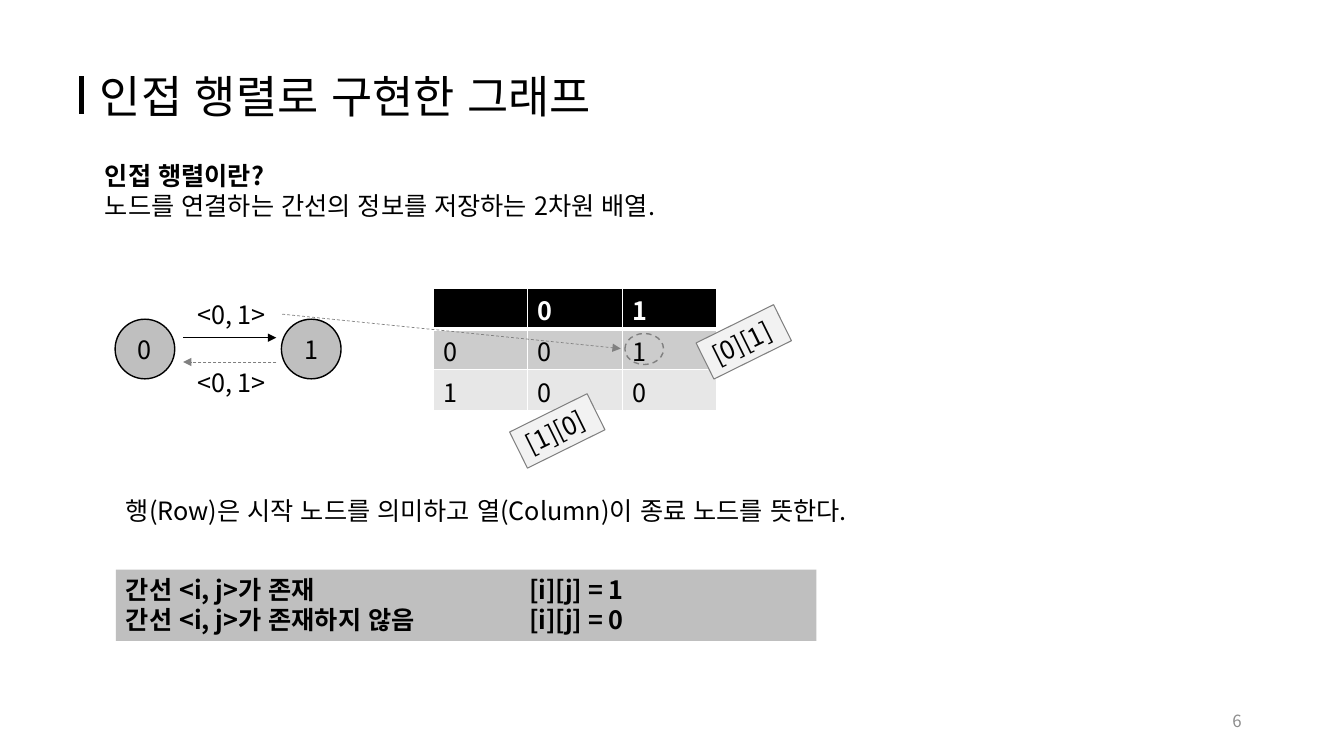
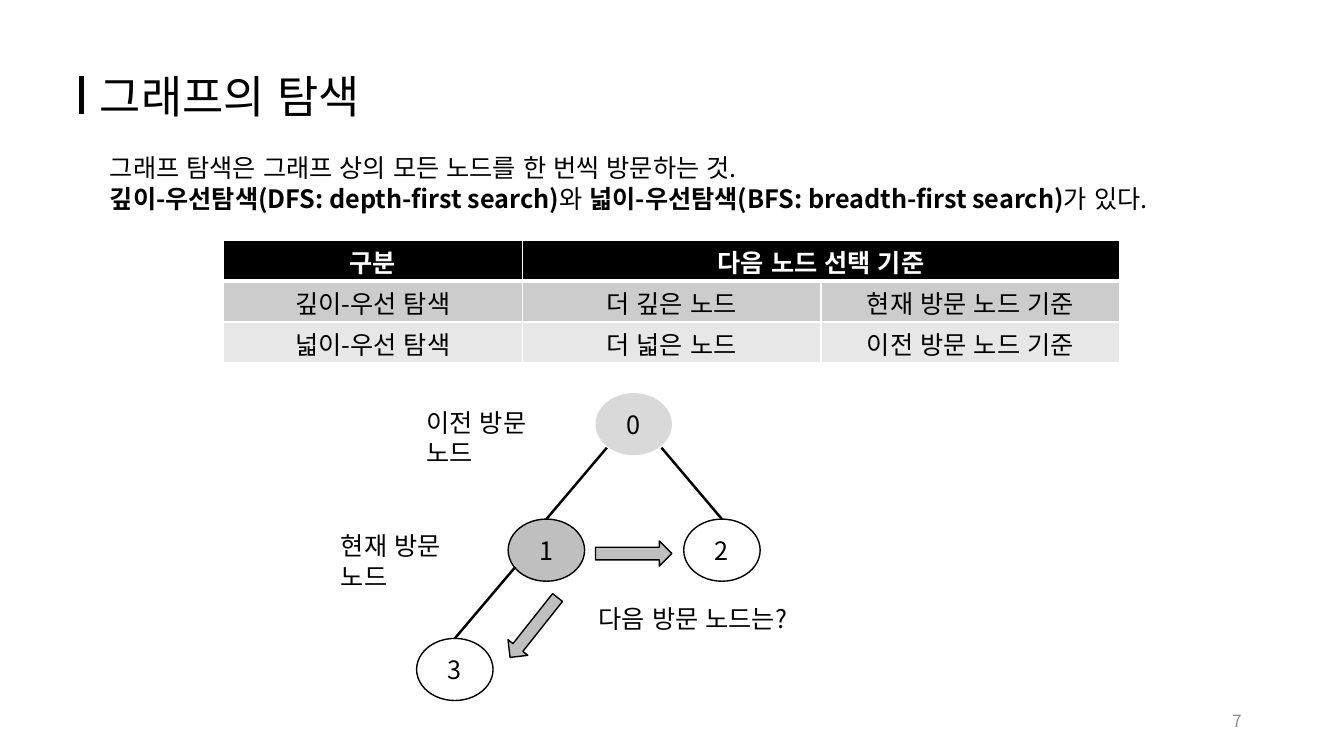
from dataclasses import dataclass
from itertools import product

from lxml.etree import SubElement
from pptx import Presentation
from pptx.dml.color import RGBColor
from pptx.enum.dml import MSO_LINE
from pptx.enum.lang import MSO_LANGUAGE_ID as LANG
from pptx.enum.shapes import MSO_CONNECTOR, MSO_SHAPE
from pptx.enum.text import MSO_ANCHOR, MSO_AUTO_SIZE, PP_ALIGN
from pptx.oxml.ns import qn
from pptx.util import Emu, Pt

COLS, ROWS, CELL = 160, 90, 76200


@dataclass(frozen=True)
class Theme:
    """Colours, font and type sizes shared by the slides."""
    font: str = "Noto Sans CJK KR"
    title: int = 32
    body: int = 18
    small: int = 12
    ink: str = "000000"
    paper: str = "FFFFFF"
    grey: str = "BFBFBF"
    pale: str = "D9D9D9"
    tag: str = "F2F2F2"
    dim: str = "808080"
    number: str = "8C8C8C"
    bands: tuple = ("CCCCCC", "E7E7E7")


T = Theme()


@dataclass(frozen=True)
class Box:
    """A rectangle in grid cells of the slide."""
    x: float
    y: float
    w: float
    h: float

    def at(self, dx, dy, w=0, h=0):
        """Return a box offset from this one's corner."""
        return Box(self.x + dx, self.y + dy, w, h)

    def emu(self):
        """Return left, top, width and height as lengths."""
        return [Emu(round(v * CELL)) for v in (self.x, self.y, self.w, self.h)]


def rgb(code):
    """Return the colour of a hex code."""
    return RGBColor.from_string(code)


def apply(obj, **formats):
    """Set each format value as an attribute."""
    for name, value in formats.items():
        setattr(obj, name, value)


def write(tf, paras, size=T.body, color=T.ink, bold=False, align=PP_ALIGN.LEFT,
          anchor=MSO_ANCHOR.TOP, wrap=True):
    """Fill a text frame; each paragraph is a list of (text, bold) or a string."""
    apply(tf, word_wrap=wrap, auto_size=MSO_AUTO_SIZE.NONE, vertical_anchor=anchor)
    for i, runs in enumerate(paras):
        p = tf.add_paragraph() if i else tf.paragraphs[0]
        p.alignment = align
        for text, strong in [(runs, bold)] if isinstance(runs, str) else runs:
            r = p.add_run()
            r.text = text
            apply(r.font, size=Pt(size), bold=strong, name=T.font, language_id=LANG.KOREAN)
            r.font.color.rgb = rgb(color)
            SubElement(r._r.get_or_add_rPr(), qn("a:ea"), typeface=T.font)


def add_text(s, box, *paras, **formats):
    """Add a text box."""
    tf = s.shapes.add_textbox(*box.emu()).text_frame
    write(tf, paras, **formats)


def add_shape(s, kind, box, fill=None, line=None, width=1, dash=None, rot=0):
    """Add a preset shape with plain fill and outline."""
    sp = s.shapes.add_shape(kind, *box.emu())
    sp.shadow.inherit = False
    sp.rotation = rot
    if fill:
        sp.fill.solid()
        sp.fill.fore_color.rgb = rgb(fill)
    else:
        sp.fill.background()
    if line:
        sp.line.color.rgb = rgb(line)
        apply(sp.line, width=Pt(width), dash_style=dash)
    else:
        sp.line.fill.background()
    return sp


def add_line(s, start, end, color=T.ink, width=0.5, dash=None, arrow=False):
    """Add a straight line between two corners, with an optional arrowhead."""
    ends = start.emu()[:2] + end.emu()[:2]
    c = s.shapes.add_connector(MSO_CONNECTOR.STRAIGHT, *ends)
    c.line.color.rgb = rgb(color)
    apply(c.line, width=Pt(width), dash_style=dash)
    if arrow:
        SubElement(c.line._get_or_add_ln(), qn("a:tailEnd"), type="triangle")
    SubElement(c._element.spPr, qn("a:effectLst"))
    return c


def add_node(s, box, name, fill=None, line=T.ink):
    """Add a graph node with its number."""
    sp = add_shape(s, MSO_SHAPE.OVAL, box, fill, line)
    write(sp.text_frame, [name], align=PP_ALIGN.CENTER, anchor=MSO_ANCHOR.MIDDLE)
    return sp


def add_borders(cell, header):
    """Draw white cell borders, thicker around the header's lower edge."""
    tc_pr = cell._tc.get_or_add_tcPr()
    widths = {"L": 1, "R": 1, "T": 1, "B": 3 if header else 1}
    for i, (side, width) in enumerate(widths.items()):
        ln = SubElement(tc_pr, qn(f"a:ln{side}"), w=str(Pt(width)))
        SubElement(SubElement(ln, qn("a:solidFill")), qn("a:srgbClr"), val=T.paper)
        tc_pr.insert(i, ln)


def add_grid(s, box, rows, align=PP_ALIGN.LEFT):
    """Add a table with a black header and grey rows; None joins a cell to its left."""
    n_rows, n_cols = len(rows), len(rows[0])
    table = s.shapes.add_table(n_rows, n_cols, *box.emu()).table
    for i, j in product(range(n_rows), range(n_cols)):
        cell, text, header = table.cell(i, j), rows[i][j], i == 0
        apply(cell, margin_top=Pt(2.5), margin_bottom=0)
        cell.fill.solid()
        cell.fill.fore_color.rgb = rgb(T.ink if header else T.bands[(i - 1) % 2])
        add_borders(cell, header)
        if text is None:
            table.cell(i, j - 1).merge(cell)
        elif text:
            write(cell.text_frame, [text], bold=header, align=align,
                  color=T.paper if header else T.ink)


def add_page(prs, title, number):
    """Add a slide with the shared title, title bar and number."""
    s = prs.slides.add_slide(prs.slide_layouts[5])
    box = Box(10.7, 7.6, 95.8, 7.7)
    sp = s.shapes.title
    apply(sp, **dict(zip(("left", "top", "width", "height"), box.emu())))
    write(sp.text_frame, [title], size=T.title)
    add_line(s, box.at(-1, 1.5), box.at(-1, 6), width=3)
    add_text(s, Box(113, 83.4, 36, 4.8), str(number), size=T.small, color=T.number,
             align=PP_ALIGN.RIGHT, anchor=MSO_ANCHOR.MIDDLE)
    return s


def node_pair(s, box):
    """Draw two nodes with an edge each way."""
    d = 7.1
    for name, dx in (("0", 0), ("1", box.w - d)):
        add_node(s, box.at(dx, 3, d, d), name, T.grey)
    left, right = 8.1, 19.2
    add_line(s, box.at(left, 5.2), box.at(right, 5.2), arrow=True)
    add_line(s, box.at(right, 8.1), box.at(left, 8.1), T.dim,
             dash=MSO_LINE.DASH, arrow=True)
    for dy in (0, 8.1):
        add_text(s, box.at(8.6, dy, 11.3, 4.8), "<0, 1>")


def matrix(s, box):
    """Draw the adjacency matrix, its marked cell and the index tags."""
    add_grid(s, box, [("", "0", "1"), ("0", "0", "1"), ("1", "0", "0")])
    add_line(s, box.at(-18, 3.1), box.at(22.3, 7.2), T.dim,
             dash=MSO_LINE.DASH, arrow=True)
    add_shape(s, MSO_SHAPE.OVAL, box.at(22.8, 5.4, 4.6, 3.7), line=T.dim,
              dash=MSO_LINE.DASH)
    for text, dx, dy in (("[0][1]", 31.8, 4), ("[1][0]", 9.6, 14.6)):
        sp = add_shape(s, MSO_SHAPE.RECTANGLE, box.at(dx, dy, 10.3, 4.8), T.tag,
                       T.dim, 0.75, rot=333.7)
        write(sp.text_frame, [text], wrap=False)


def rule_band(s, box):
    """Draw the grey band with the two matrix rules in columns."""
    sp = add_shape(s, MSO_SHAPE.RECTANGLE, box, T.grey)
    write(sp.text_frame, ["간선 <i, j>가 존재\t[i][j] = 1",
                          "간선 <i, j>가 존재하지 않음\t[i][j] = 0"], bold=True)
    for p in sp.text_frame.paragraphs:
        tabs = SubElement(p._p.get_or_add_pPr(), qn("a:tabLst"))
        SubElement(tabs, qn("a:tab"), pos=str(48 * CELL), algn="l")


def search_tree(s, box):
    """Draw the search tree with its labels and candidate moves."""
    w, h, run, rise = 9.1, 7.4, 7.2, 8.5
    layout = {"0": (31.5, 0, T.pale, None), "1": (21.1, 15, T.grey, T.ink),
              "2": (42, 15, None, T.ink), "3": (10.2, 29.2, None, T.ink)}
    places = {k: box.at(x, y, w, h) for k, (x, y, *_) in layout.items()}
    nodes = {k: add_node(s, places[k], k, *v[2:]) for k, v in layout.items()}
    for child, side in (("1", 1), ("2", -1), ("3", 1)):
        top = places[child].at(w / 2, 0)
        edge = add_line(s, top.at(side * run, -rise), top, width=1.75)
        edge.end_connect(nodes[child], 0)
    for text, dx, dy, width in (("이전 방문 노드", 10.2, 1.1, 19),
                                ("현재 방문 노드", 0, 15.8, 19),
                                ("다음 방문 노드는?", 30.7, 24.4, 27)):
        add_text(s, box.at(dx, dy, width, 4.8), text)
    for dx, dy, rot in ((31.5, 17.6, 0), (19.6, 26.4, 128.4)):
        add_shape(s, MSO_SHAPE.RIGHT_ARROW, box.at(dx, dy, w, 3), T.grey, T.ink, rot=rot)


def matrix_slide(prs):
    """Build the slide on the adjacency matrix."""
    s = add_page(prs, "인접 행렬로 구현한 그래프", 6)
    add_text(s, Box(11.3, 18.5, 125.6, 8.5), [("인접 행렬이란?", True)],
             "노드를 연결하는 간선의 정보를 저장하는 2차원 배열.")
    node_pair(s, Box(13.7, 35, 26.9, 12.8))
    matrix(s, Box(51.6, 34.3, 33.7, 14.6))
    add_text(s, Box(13.8, 58.4, 91.3, 4.8),
             "행(Row)은 시작 노드를 의미하고 열(Column)이 종료 노드를 뜻한다.")
    rule_band(s, Box(13.8, 67.8, 83.4, 8.5))


def search_slide(prs):
    """Build the slide on graph search."""
    s = add_page(prs, "그래프의 탐색", 7)
    add_text(s, Box(11.9, 17.6, 139.1, 8.5),
             "그래프 탐색은 그래프 상의 모든 노드를 한 번씩 방문하는 것.",
             [("깊이-우선탐색(DFS: depth-first search)", True), ("와 ", False),
              ("넓이-우선탐색(BFS: breadth-first search)", True), ("가 있다.", False)])
    add_grid(s, Box(26.6, 28.6, 106.7, 14.6),
             [("구분", "다음 노드 선택 기준", None),
              ("깊이-우선 탐색", "더 깊은 노드", "현재 방문 노드 기준"),
              ("넓이-우선 탐색", "더 넓은 노드", "이전 방문 노드 기준")], PP_ALIGN.CENTER)
    search_tree(s, Box(39.4, 46.8, 58.3, 36.6))


def main():
    """Build and save the presentation."""
    prs = Presentation()
    apply(prs, slide_width=Emu(COLS * CELL), slide_height=Emu(ROWS * CELL))
    matrix_slide(prs)
    search_slide(prs)
    prs.save("out.pptx")


if __name__ == "__main__":
    main()
